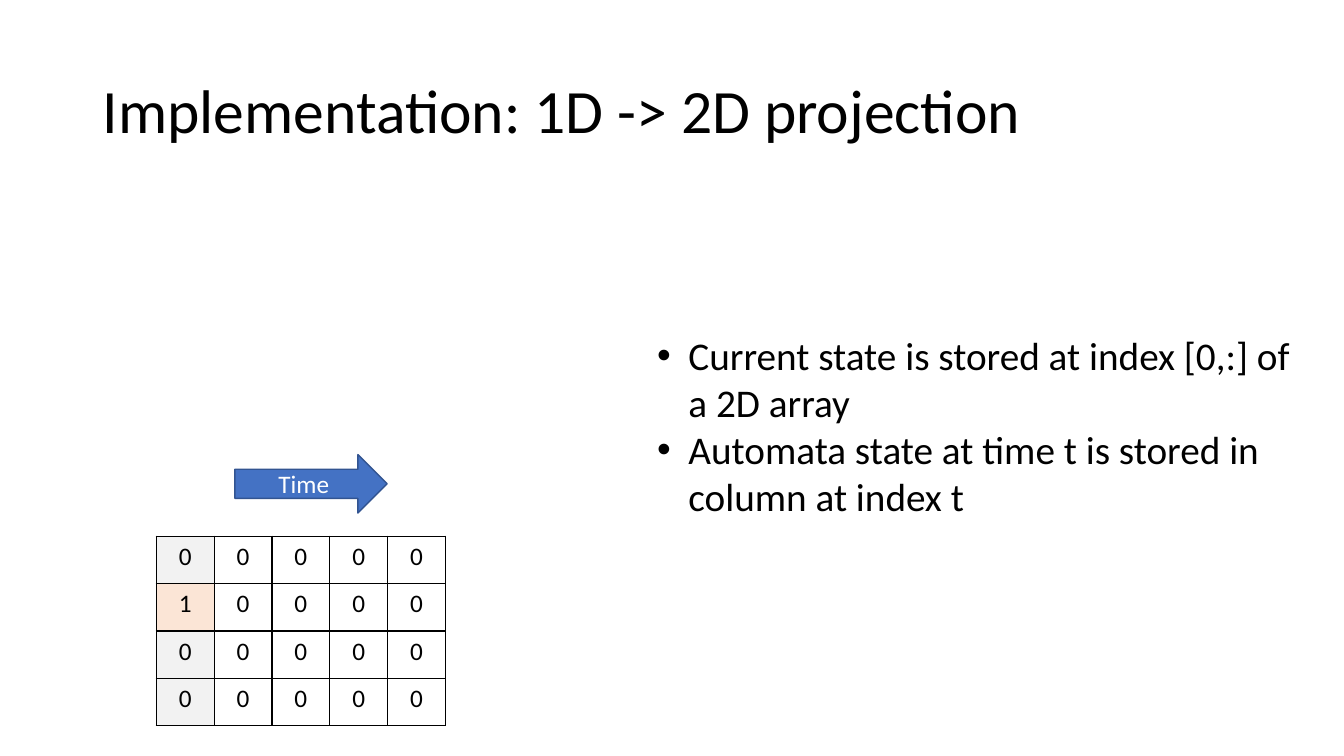
from dataclasses import dataclass

import pptx
import pptx.util
from lxml import etree
from pptx.dml.color import RGBColor
from pptx.enum.shapes import MSO_SHAPE
from pptx.enum.text import MSO_ANCHOR, MSO_AUTO_SIZE, PP_ALIGN
from pptx.oxml.ns import qn
from pptx.util import Inches

BLACK = RGBColor(0x00, 0x00, 0x00)
WHITE = RGBColor(0xFF, 0xFF, 0xFF)
GREY = RGBColor(0xF2, 0xF2, 0xF2)
PEACH = RGBColor(0xFB, 0xE5, 0xD6)
BLUE = RGBColor(0x44, 0x72, 0xC4)
NAVY = RGBColor(0x32, 0x54, 0x91)

STATE = (0, 1, 0, 0)
STEPS = 5
NOTES = (
    "Current state is stored at index [0,:] of a 2D array",
    "Automata state at time t is stored in column at index t",
)


@dataclass(frozen=True)
class Box:
    left: float
    top: float
    width: float
    height: float

    def place(self) -> tuple:
        return tuple(Inches(n) for n in (self.left, self.top, self.width, self.height))


@dataclass(frozen=True)
class Style:
    size: int
    color: RGBColor = BLACK
    align: PP_ALIGN = PP_ALIGN.LEFT


HEAD = Style(44)
BODY = Style(28)
DIGIT = Style(18, align=PP_ALIGN.CENTER)
LABEL = Style(18, WHITE, PP_ALIGN.CENTER)

TITLE_BOX = Box(0.92, 0.4, 11.5, 1.45)
GRID_BOX = Box(1.55, 5.32, 2.87, 1.88)
ARROW_BOX = Box(2.33, 4.51, 1.51, 0.58)
NOTE_BOX = Box(6.42, 3.24, 6.72, 1.99)


def write(para, text: str, style: Style) -> None:
    para.alignment = style.align
    run = para.add_run()
    run.text = text
    run.font.name = "Calibri"
    run.font.size = pptx.util.Pt(style.size)
    run.font.color.rgb = style.color


def add_title(slide, text: str) -> None:
    title = slide.shapes.title
    title.left, title.top, title.width, title.height = TITLE_BOX.place()
    frame = title.text_frame
    frame.vertical_anchor = MSO_ANCHOR.MIDDLE
    para = frame.paragraphs[0]
    para.line_spacing = 0.9
    write(para, text, HEAD)


def add_edges(cell) -> None:
    """Draw a thin black border on all four sides of a cell."""
    props = cell._tc.get_or_add_tcPr()
    for side in "LRTB":
        line = etree.SubElement(props, qn(f"a:ln{side}"), w=str(pptx.util.Pt(1)))
        fill = etree.SubElement(line, qn("a:solidFill"))
        etree.SubElement(fill, qn("a:srgbClr"), val=str(BLACK))


def add_grid(slide) -> None:
    """Show the state in the first column, with later steps still zero."""
    table = slide.shapes.add_table(len(STATE), STEPS, *GRID_BOX.place()).table
    table.first_row = table.horz_banding = False
    for col in table.columns:
        col.width = Inches(GRID_BOX.width / STEPS)
    for row, state in enumerate(STATE):
        table.rows[row].height = Inches(GRID_BOX.height / len(STATE))
        for step in range(STEPS):
            cell = table.cell(row, step)
            value, fill = 0, WHITE
            if step == 0:
                value, fill = state, PEACH if state else GREY
            add_edges(cell)
            cell.fill.solid()
            cell.fill.fore_color.rgb = fill
            write(cell.text_frame.paragraphs[0], str(value), DIGIT)


def add_arrow(slide, text: str) -> None:
    arrow = slide.shapes.add_shape(MSO_SHAPE.RIGHT_ARROW, *ARROW_BOX.place())
    arrow.shadow.inherit = False
    arrow.fill.solid()
    arrow.fill.fore_color.rgb = BLUE
    arrow.line.color.rgb = NAVY
    arrow.line.width = pptx.util.Pt(1)
    arrow.text_frame.vertical_anchor = MSO_ANCHOR.MIDDLE
    write(arrow.text_frame.paragraphs[0], text, LABEL)


def add_bullet(para) -> None:
    props = para._p.get_or_add_pPr()
    indent = Inches(0.31)
    props.set("marL", str(indent))
    props.set("indent", str(-indent))
    etree.SubElement(props, qn("a:buFont"), typeface="Arial")
    etree.SubElement(props, qn("a:buChar"), char="•")


def add_notes(slide) -> None:
    frame = slide.shapes.add_textbox(*NOTE_BOX.place()).text_frame
    frame.word_wrap = True
    frame.auto_size = MSO_AUTO_SIZE.SHAPE_TO_FIT_TEXT
    for i, note in enumerate(NOTES):
        para = frame.add_paragraph() if i else frame.paragraphs[0]
        add_bullet(para)
        write(para, note, BODY)


def main() -> None:
    deck = pptx.Presentation()
    deck.slide_width, deck.slide_height = Inches(13.33), Inches(7.5)
    slide = deck.slides.add_slide(deck.slide_layouts[5])
    add_title(slide, "Implementation: 1D -> 2D projection")
    add_grid(slide)
    add_arrow(slide, "Time")
    add_notes(slide)
    deck.save("out.pptx")


if __name__ == "__main__":
    main()
